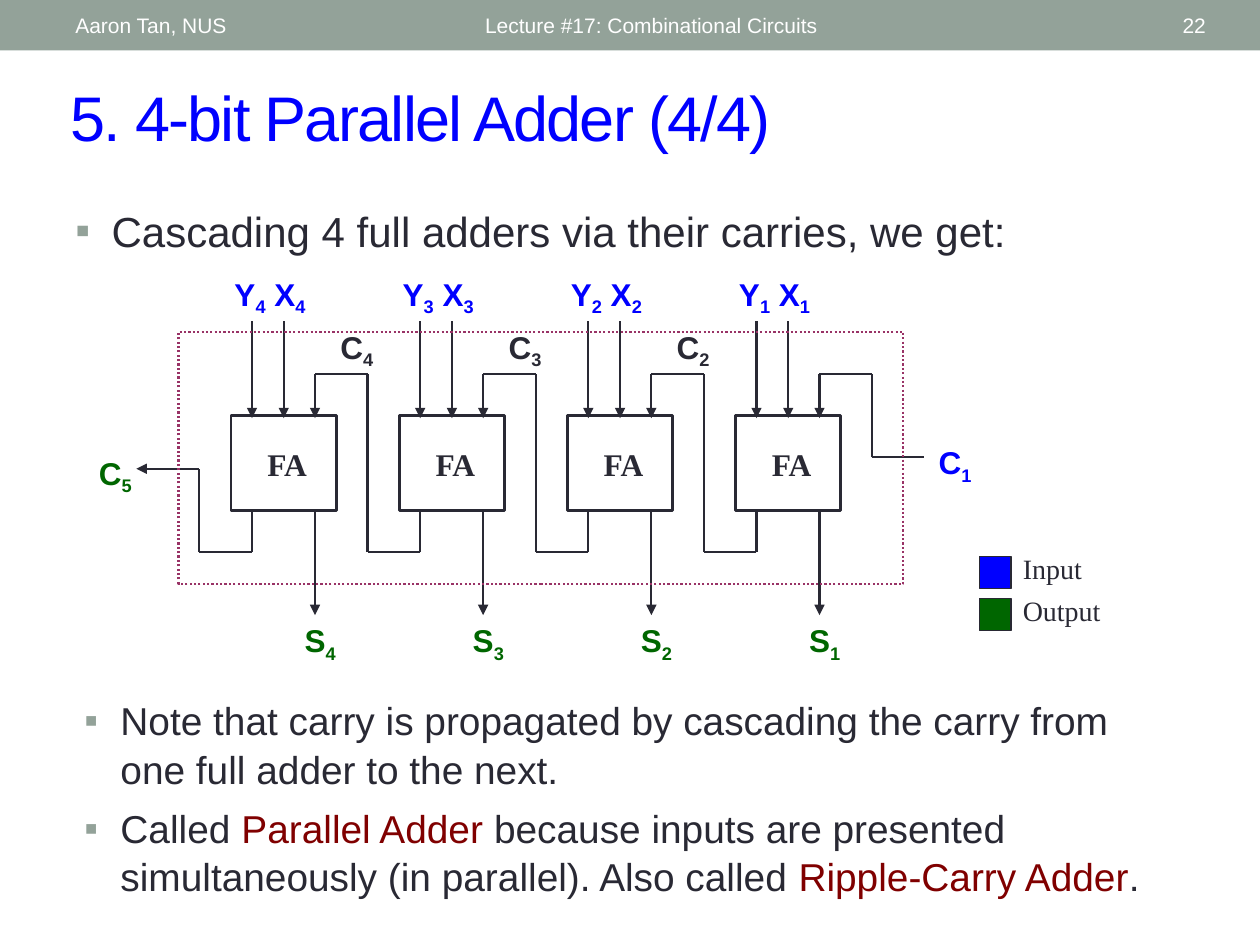
from dataclasses import dataclass

from lxml.etree import SubElement
from pptx import Presentation
from pptx.dml.color import RGBColor
from pptx.enum.dml import MSO_LINE
from pptx.enum.shapes import MSO_CONNECTOR, MSO_SHAPE
from pptx.enum.text import MSO_ANCHOR, PP_ALIGN
from pptx.oxml.ns import qn
from pptx.util import Cm, Pt


@dataclass(frozen=True)
class Theme:
    ink: str = "292934"
    accent: str = "93A299"
    white: str = "FFFFFF"
    input: str = "0000FF"
    output: str = "006600"
    term: str = "800000"
    frame: str = "993366"
    sans: str = "Arial"
    serif: str = "Times New Roman"
    header_size: float = 12
    title_size: float = 36
    lead_size: float = 24
    note_size: float = 22.2
    label_size: float = 18
    legend_size: float = 16
    wire: float = 1.25


THEME = Theme()
BITS = 4
FIRST_LEFT, PITCH = 4.66, 3.39                  # adder boxes
ADDER_W, ADDER_H = 2.12, 1.91
INPUT_TOP, CARRY_TOP, ADDER_TOP = 6.48, 7.54, 8.38
ADDER_BOTTOM, CARRY_BOTTOM, SUM_END = 10.29, 11.13, 12.4
Y_DX, X_DX, CARRY_DX, RISE_DX = 0.42, 1.06, 1.69, 2.75   # from a box's left


def add_run(paragraph, text, size, color, font=THEME.sans, bold=False, base=None):
    run = paragraph.add_run()
    run.text = text
    formats = {"size": Pt(size), "name": font, "bold": bold}
    for attribute, value in formats.items():
        setattr(run.font, attribute, value)
    run.font.color.rgb = RGBColor.from_string(color)
    if base:
        run.font._element.set("baseline", str(base))
    return run


def add_text_frame(slide, left, top, width, height, anchor=MSO_ANCHOR.TOP):
    frame = slide.shapes.add_textbox(Cm(left), Cm(top), Cm(width), Cm(height)).text_frame
    for attribute, value in {"word_wrap": True, "vertical_anchor": anchor}.items():
        setattr(frame, attribute, value)
    return frame


def add_line_of_text(slide, box, text, size, color, font=THEME.sans,
                     align=PP_ALIGN.LEFT, anchor=MSO_ANCHOR.MIDDLE, bold=False):
    paragraph = add_text_frame(slide, *box, anchor).paragraphs[0]
    paragraph.alignment = align
    return add_run(paragraph, text, size, color, font, bold)


def add_signal(slide, left, top, width, names, index, color):
    """Signal names, each followed by its index as a subscript."""
    paragraph = add_text_frame(slide, left, top, width, 1.02).paragraphs[0]
    paragraph.alignment = PP_ALIGN.CENTER
    for position, name in enumerate(names):
        text = f" {name}" if position else name
        add_run(paragraph, text, THEME.label_size, color, bold=True)
        add_run(paragraph, str(index), THEME.label_size, color, bold=True, base=-25000)


def add_bullets(slide, box, items, size, line_spacing=1.0):
    frame = add_text_frame(slide, *box)
    for position, pieces in enumerate(items):
        paragraph = frame.paragraphs[0] if position == 0 else frame.add_paragraph()
        paragraph.line_spacing = line_spacing
        if position:
            paragraph.space_before = Pt(6)
        properties = paragraph._p.get_or_add_pPr()
        properties.set("marL", str(Cm(0.73)))
        properties.set("indent", str(Cm(-0.73)))
        bullet_color = SubElement(properties, qn("a:buClr"))
        SubElement(bullet_color, qn("a:srgbClr"), val=THEME.accent)
        SubElement(properties, qn("a:buFont"), typeface=THEME.sans)
        SubElement(properties, qn("a:buChar"), char="▪")
        for text, color in pieces:
            add_run(paragraph, text, size, color)


def add_rectangle(slide, left, top, width, height, fill=None, line=None, weight=1.5, dash=None):
    rectangle = slide.shapes.add_shape(MSO_SHAPE.RECTANGLE, Cm(left), Cm(top),
                                       Cm(width), Cm(height))
    rectangle.shadow.inherit = False
    if fill:
        rectangle.fill.solid()
        rectangle.fill.fore_color.rgb = RGBColor.from_string(fill)
    else:
        rectangle.fill.background()
    if line:
        rectangle.line.color.rgb = RGBColor.from_string(line)
        for attribute, value in {"width": Pt(weight), "dash_style": dash}.items():
            setattr(rectangle.line, attribute, value)
    else:
        rectangle.line.fill.background()


def add_wire(slide, *points, arrow=False):
    """Straight segments through the points, with an arrowhead at the last."""
    for start, end in zip(points, points[1:]):
        segment = slide.shapes.add_connector(
            MSO_CONNECTOR.STRAIGHT, *(Cm(value) for value in start + end))
        segment.line.color.rgb = RGBColor.from_string(THEME.ink)
        segment.line.width = Pt(THEME.wire)
        if arrow and end == points[-1]:
            SubElement(segment.line._get_or_add_ln(), qn("a:tailEnd"), type="triangle")
        SubElement(segment._element.spPr, qn("a:effectLst"))


def add_header(slide):
    add_rectangle(slide, 0, 0, 25.4, 1.02, fill=THEME.accent)
    for left, width, text, align in (
            (1.27, 8.05, "Aaron Tan, NUS", PP_ALIGN.LEFT),
            (9.53, 11.43, "Lecture #17: Combinational Circuits", PP_ALIGN.LEFT),
            (22.15, 2.41, "22", PP_ALIGN.RIGHT)):
        add_line_of_text(slide, (left, 0.05, width, 0.91), text,
                         THEME.header_size, THEME.white, align=align)


def add_full_adder(slide, bit):
    left = FIRST_LEFT + (BITS - bit) * PITCH
    carry_in, carry_out = left + CARRY_DX, left + Y_DX
    add_rectangle(slide, left, ADDER_TOP, ADDER_W, ADDER_H, line=THEME.ink)
    add_line_of_text(slide, (left + 0.28, 8.84, 1.7, 1.02), "FA", THEME.label_size, THEME.ink,
                     THEME.serif, PP_ALIGN.CENTER, MSO_ANCHOR.TOP, bold=True)
    # Inputs and sum
    add_signal(slide, left - 0.42, 5.41, 2.41, "YX", bit, THEME.input)
    for x in (left + Y_DX, left + X_DX):
        add_wire(slide, (x, INPUT_TOP), (x, ADDER_TOP + 0.05), arrow=True)
    add_wire(slide, (carry_in, ADDER_BOTTOM), (carry_in, SUM_END), arrow=True)
    add_signal(slide, left + 1.06, SUM_END, 1.47, "S", bit, THEME.output)
    # Carry in, from the next adder to the right or from outside
    rise = left + RISE_DX
    if bit == 1:
        source = [(18.62, 9.22), (rise, 9.22)]
    else:
        next_out = carry_out + PITCH
        source = [(next_out, ADDER_BOTTOM), (next_out, CARRY_BOTTOM), (rise, CARRY_BOTTOM)]
        add_signal(slide, left + 1.9, INPUT_TOP, 1.27, "C", bit, THEME.ink)
    add_wire(slide, *source, (rise, CARRY_TOP), (carry_in, CARRY_TOP),
             (carry_in, ADDER_TOP + 0.05), arrow=True)


def add_adder_diagram(slide):
    for bit in range(BITS, 0, -1):
        add_full_adder(slide, bit)
    # Outer carries
    last_out = FIRST_LEFT + Y_DX
    add_wire(slide, (last_out, ADDER_BOTTOM), (last_out, CARRY_BOTTOM),
             (4.02, CARRY_BOTTOM), (4.02, 9.45), (2.75, 9.45), arrow=True)
    add_signal(slide, 18.62, 8.81, 1.27, "C", 1, THEME.input)
    add_signal(slide, 1.69, 9.02, 1.27, "C", BITS + 1, THEME.output)
    add_rectangle(slide, 3.6, 6.69, 14.61, 5.08, line=THEME.frame,
                  weight=THEME.wire, dash=MSO_LINE.ROUND_DOT)


def add_legend(slide):
    for row, (text, color) in enumerate((("Input", THEME.input), ("Output", THEME.output))):
        top = 11 + row * 0.85
        add_rectangle(slide, 19.74, top + 0.22, 0.64, 0.64, color, THEME.ink, 0.75)
        add_line_of_text(slide, (20.37, top, 2.54, 0.94), text, THEME.legend_size, THEME.ink,
                         THEME.serif, anchor=MSO_ANCHOR.TOP)


def main():
    deck = Presentation()
    deck.slide_width, deck.slide_height = Cm(25.4), Cm(19.05)
    slide = deck.slides.add_slide(deck.slide_layouts[6])
    # Heading
    add_header(slide)
    title = add_line_of_text(slide, (1.17, 1.45, 23.39, 1.78), "5. 4-bit Parallel Adder (4/4)",
                             THEME.title_size, THEME.input)
    title.font._element.set("spc", "-100")
    # Body
    add_bullets(slide, (1.27, 4.01, 22.43, 1.6),
                [[("Cascading 4 full adders via their carries, we get:", THEME.ink)]],
                THEME.lead_size)
    add_adder_diagram(slide)
    add_legend(slide)
    add_bullets(slide, (1.45, 13.89, 22.43, 4.27), [
        [("Note that carry is propagated by cascading the carry from one full adder "
          "to the next.", THEME.ink)],
        [("Called ", THEME.ink), ("Parallel Adder", THEME.term),
         (" because inputs are presented simultaneously (in parallel). Also called ", THEME.ink),
         ("Ripple-Carry Adder", THEME.term), (".", THEME.ink)],
    ], THEME.note_size, line_spacing=1.04)
    deck.save("out.pptx")


if __name__ == "__main__":
    main()
